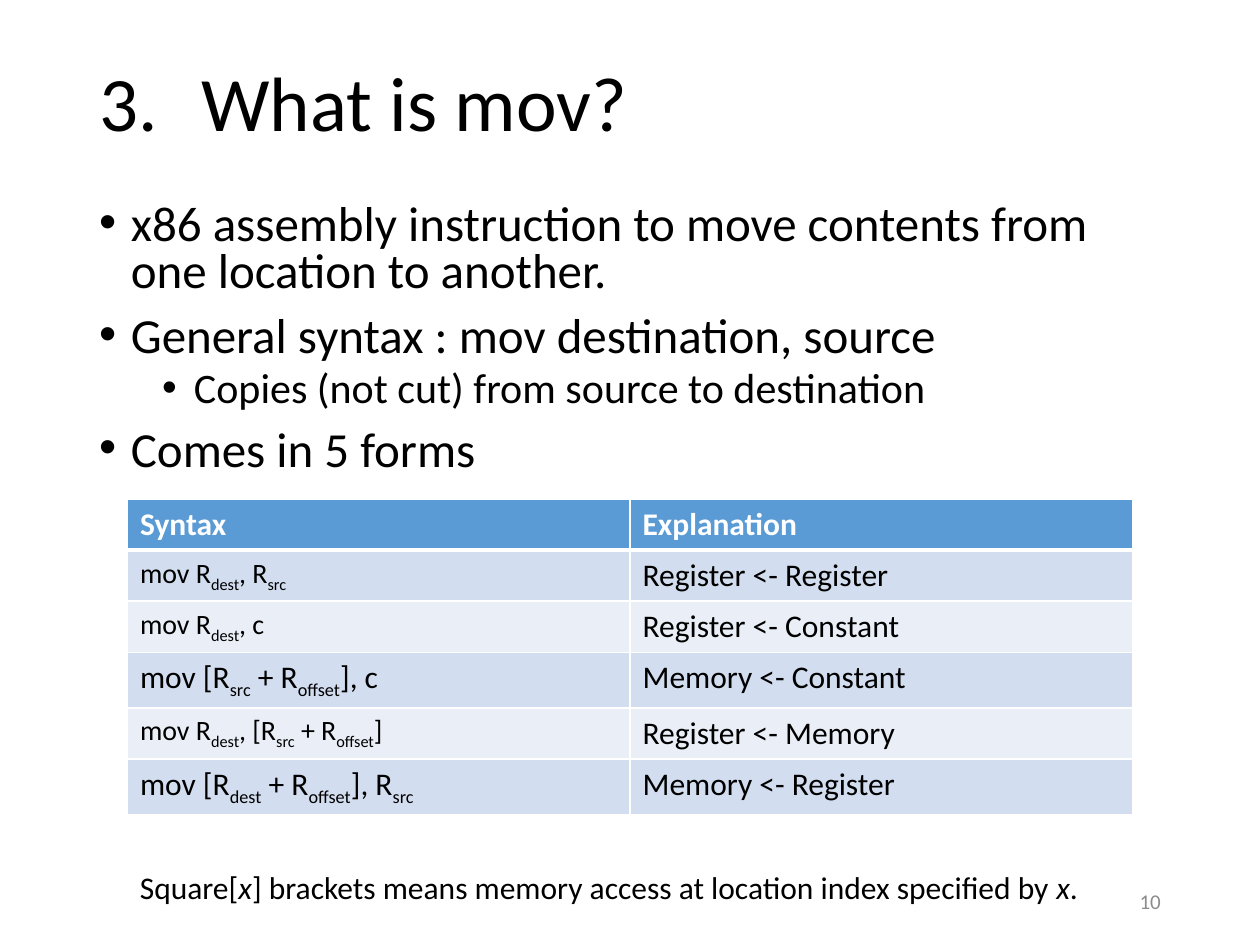
from dataclasses import dataclass

from lxml.etree import SubElement as Sub
from pptx import Presentation
from pptx.dml.color import RGBColor as Rgb
from pptx.enum.text import MSO_ANCHOR as Anchor, PP_ALIGN as Align
from pptx.oxml.ns import qn
from pptx.util import Cm, Pt


@dataclass(frozen=True)
class Theme:
    font: str = "Calibri"
    ink: str = "000000"
    white: str = "FFFFFF"
    gray: str = "8C8C8C"
    head: str = "5B9BD5"
    bands: tuple = ("D2DEEF", "EAEFF7")
    title: int = 44
    body: int = 28
    sub: int = 24
    cell: int = 18
    code: int = 16
    page: int = 12


theme = Theme()


def write(par, text, size, color=theme.ink, bold=False, mark="sub",
          line=None, before=0, left=0, hang=0, bullet=None, start=None):
    """Fill a paragraph; each second piece between bars is marked."""
    for i, part in enumerate(text.split("|")):
        if not part:
            continue
        run = par.add_run()
        run.text = part
        font = run.font
        font.name, font.size, font.bold = theme.font, Pt(size), bold
        font.color.rgb = Rgb.from_string(color)
        if i % 2 and mark == "sub":
            run._r.get_or_add_rPr().set("baseline", "-25000")
        elif i % 2:
            font.italic = True
    if line:
        par.line_spacing = line
    par.space_before = Pt(before)
    if bullet or start:
        props = par._p.get_or_add_pPr()
        props.set("marL", str(Cm(left)))
        props.set("indent", str(-Cm(hang)))
        if start:
            Sub(props, qn("a:buFont"), typeface=theme.font)
            Sub(props, qn("a:buAutoNum"), type="arabicPeriod", startAt=str(start))
        else:
            Sub(props, qn("a:buFont"), typeface="Arial")
            Sub(props, qn("a:buChar"), char=bullet)


def frame(left, top, width, height, anchor=Anchor.TOP, wrap=True):
    """Add a text box and return its text frame."""
    box = slide.shapes.add_textbox(Cm(left), Cm(top), Cm(width), Cm(height))
    text = box.text_frame
    text.word_wrap, text.vertical_anchor = wrap, anchor
    return text


deck = Presentation()
deck.slide_width, deck.slide_height = Cm(25.4), Cm(19.05)
slide = deck.slides.add_slide(deck.slide_layouts[6])

# Title
title = frame(1.75, 0.3, 21.9, 3.68, anchor=Anchor.MIDDLE)
write(title.paragraphs[0], "What is mov?", theme.title,
      line=0.9, left=2.06, hang=2.06, start=3)

# Bullets
points = [
    (0, "x86 assembly instruction to move contents from one location to another."),
    (0, "General syntax : mov destination, source"),
    (1, "Copies (not cut) from source to destination"),
    (0, "Comes in 5 forms"),
]
body = frame(1.75, 3.99, 21.9, 6.07)
for i, (level, text) in enumerate(points):
    par = body.add_paragraph() if i else body.paragraphs[0]
    par.level = level
    write(par, text, theme.sub if level else theme.body, line=0.8,
          before=5 if level else 10, left=0.64 + 1.27 * level, hang=0.64,
          bullet="•")

# Table of forms
forms = [
    ("Syntax", "Explanation", theme.cell),
    ("mov R|dest|, R|src|", "Register <- Register", theme.code),
    ("mov R|dest|, c", "Register <- Constant", theme.code),
    ("mov [R|src| + R|offset|], c", "Memory <- Constant", theme.cell),
    ("mov R|dest|, [R|src| + R|offset|]", "Register <- Memory", theme.code),
    ("mov [R|dest| + R|offset|], R|src|", "Memory <- Register", theme.cell),
]
wide, high = 10.13, 1.03
grid = slide.shapes.add_table(len(forms), 2, Cm(2.57), Cm(10.06),
                              Cm(2 * wide), Cm(high * len(forms))).table
for col in grid.columns:
    col.width = Cm(wide)
for r, (code, note, size) in enumerate(forms):
    grid.rows[r].height = Cm(high)
    for c, (text, pt) in enumerate([(code, size), (note, theme.cell)]):
        cell = grid.cell(r, c)
        write(cell.text_frame.paragraphs[0], text, pt, bold=r == 0,
              color=theme.ink if r else theme.white)
        cell.fill.solid()
        fill = theme.bands[(r - 1) % 2] if r else theme.head
        cell.fill.fore_color.rgb = Rgb.from_string(fill)
        # White cell borders, thick below the header
        props = cell._tc.get_or_add_tcPr()
        for i, side in enumerate("LRTB"):
            thick = (r == 0 and side == "B") or (r == 1 and side == "T")
            edge = Sub(props, qn(f"a:ln{side}"), w=str(Pt(3 if thick else 1)))
            Sub(Sub(edge, qn("a:solidFill")), qn("a:srgbClr"), val=theme.white)
            props.insert(i, edge)

# Note on brackets
note = frame(2.57, 17.37, 19.48, 1.02, wrap=False)
write(note.paragraphs[0],
      "Square[|x|] brackets means memory access at location index specified by |x|.",
      theme.cell, mark="italic")

# Page number
page = frame(17.93, 17.65, 5.72, 1.02, anchor=Anchor.MIDDLE)
page.paragraphs[0].alignment = Align.RIGHT
write(page.paragraphs[0], "10", theme.page, color=theme.gray)

deck.save("out.pptx")
